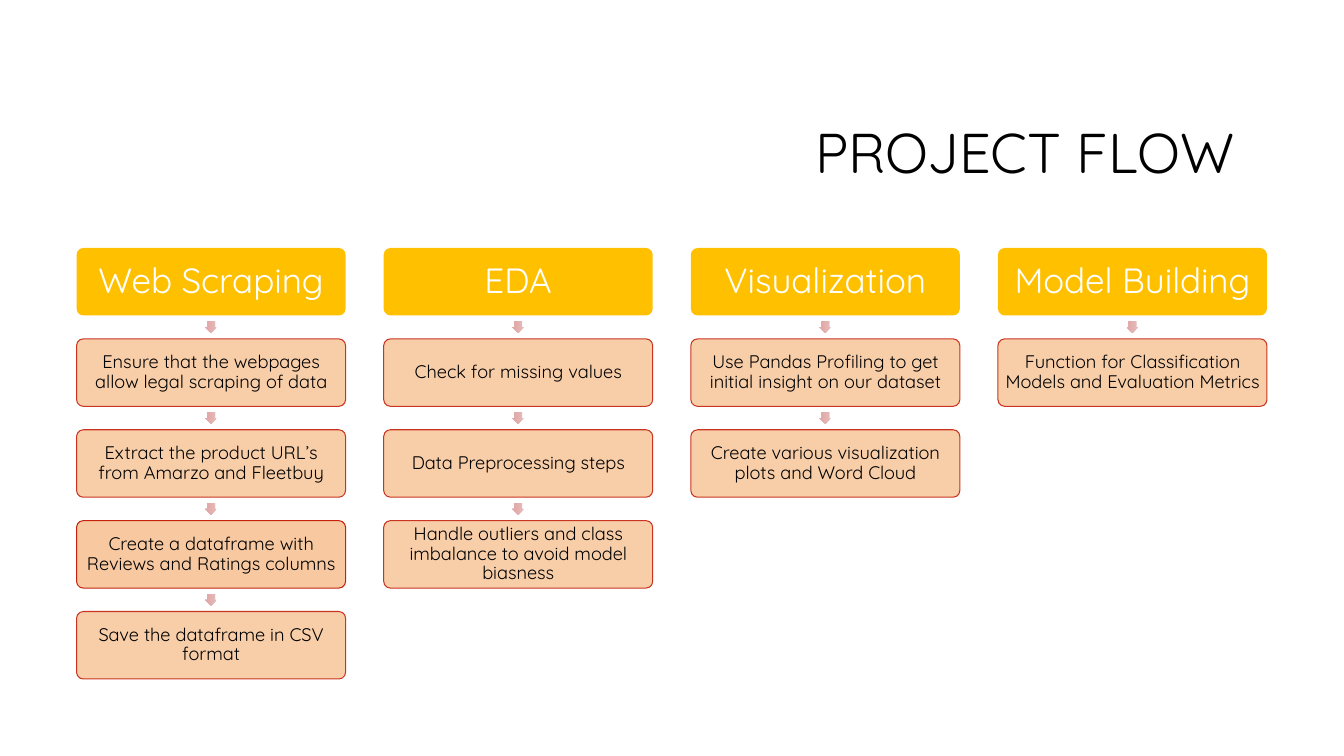
"""Build the project flow slide: four columns of linked steps."""
from dataclasses import dataclass

from lxml import etree
from pptx import Presentation
from pptx.dml.color import RGBColor
from pptx.enum.shapes import MSO_SHAPE
from pptx.enum.text import MSO_ANCHOR, PP_ALIGN
from pptx.oxml.ns import qn
from pptx.text.text import TextFrame
from pptx.util import Cm, Pt

BOX = MSO_SHAPE.ROUNDED_RECTANGLE
ARROW = MSO_SHAPE.RIGHT_ARROW
MIDDLE = MSO_ANCHOR.MIDDLE
CENTER, RIGHT = PP_ALIGN.CENTER, PP_ALIGN.RIGHT

FONT = "Quicksand"
BLACK = RGBColor(0x00, 0x00, 0x00)
WHITE = RGBColor(0xFF, 0xFF, 0xFF)
GOLD = RGBColor(0xFF, 0xC0, 0x00)
PEACH = RGBColor(0xF8, 0xC9, 0xA0)
RED = RGBColor(0xC4, 0x22, 0x0D)
PINK = RGBColor(0xE4, 0xBC, 0xBB)
ROSE = RGBColor(0xE1, 0xAA, 0xA9)

LEFT, TOP = 1.93, 6.25
WIDE, HIGH = 6.78, 1.7
COL_STEP, ROW_STEP = 7.74, 2.29
TIP = 0.3


@dataclass(frozen=True)
class Step:
    """A box in a column and its opacity in percent."""
    text: str
    alpha: int = 90


@dataclass(frozen=True)
class Stage:
    """A column with its heading and steps."""
    name: str
    steps: tuple[Step, ...]


STAGES = (
    Stage("Web Scraping", (
        Step("Ensure that the webpages allow legal scraping of data"),
        Step("Extract the product URL’s from Amarzo and Fleetbuy"),
        Step("Create a dataframe with Reviews and Ratings columns", 100),
        Step("Save the dataframe in CSV format"),
    )),
    Stage("EDA", (
        Step("Check for missing values"),
        Step("Data Preprocessing steps"),
        Step("Handle outliers and class imbalance to avoid model biasness"),
    )),
    Stage("Visualization", (
        Step("Use Pandas Profiling to get initial insight on our dataset"),
        Step("Create various visualization plots and Word Cloud"),
    )),
    Stage("Model Building", (
        Step("Function for Classification Models and Evaluation Metrics"),
    )),
)


def write(frame: TextFrame, text: str, size: float, color: RGBColor,
          align: PP_ALIGN) -> None:
    """Put one styled paragraph in a frame."""
    frame.word_wrap = True
    frame.vertical_anchor = MIDDLE
    para = frame.paragraphs[0]
    para.text = text
    para.alignment = align
    para.line_spacing = 0.9
    para.font.name = FONT
    para.font.size = Pt(size)
    para.font.color.rgb = color


def add_box(shapes, x: float, y: float, text: str, size: float,
            color: RGBColor, fill: RGBColor, inset: float):
    """Add a rounded box with text and no outline."""
    box = shapes.add_shape(BOX, Cm(x), Cm(y), Cm(WIDE), Cm(HIGH))
    box.shadow.inherit = False
    box.adjustments[0] = 0.1
    box.fill.solid()
    box.fill.fore_color.rgb = fill
    box.line.fill.background()
    frame = box.text_frame
    frame.margin_left = frame.margin_right = Cm(inset)
    frame.margin_top = frame.margin_bottom = Cm(inset)
    write(frame, text, size, color, CENTER)
    return box


def add_step(shapes, x: float, y: float, step: Step) -> None:
    """Add an outlined step box with its opacity."""
    box = add_box(shapes, x, y, step.text, 13, BLACK, PEACH, 0.1)
    box.line.color.rgb = RED
    box.line.width = Pt(0.75)
    if step.alpha < 100:
        for color in box.element.spPr.iter(qn("a:srgbClr")):
            etree.SubElement(color, qn("a:alpha"), val=str(step.alpha * 1000))


def add_arrow(shapes, x: float, y: float) -> None:
    """Add a small down arrow centred on a point."""
    arrow = shapes.add_shape(ARROW, Cm(x - TIP / 2), Cm(y - TIP / 2),
                             Cm(TIP), Cm(TIP))
    arrow.rotation = 90
    arrow.shadow.inherit = False
    arrow.adjustments[0] = 0.67
    arrow.line.fill.background()
    arrow.fill.gradient()
    arrow.fill.gradient_angle = 270
    stops = arrow.fill.gradient_stops
    for stop, color, place in zip(stops, (PINK, ROSE), (0, 0.78)):
        stop.color.rgb = color
        stop.position = place


def add_stage(shapes, x: float, stage: Stage) -> None:
    """Add a heading and the steps below it."""
    add_box(shapes, x, TOP, stage.name, 25, WHITE, GOLD, 0.13)
    for row, step in enumerate(stage.steps, 1):
        y = TOP + row * ROW_STEP
        add_arrow(shapes, x + WIDE / 2, y - (ROW_STEP - HIGH) / 2)
        add_step(shapes, x, y, step)


def main() -> None:
    """Build and save the slide."""
    deck = Presentation()
    deck.slide_width, deck.slide_height = Cm(33.87), Cm(19.05)
    shapes = deck.slides.add_slide(deck.slide_layouts[6]).shapes
    title = shapes.add_textbox(Cm(8.05), Cm(2.13), Cm(23.3), Cm(3.58))
    write(title.text_frame, "PROJECT FLOW", 40, BLACK, RIGHT)
    for col, stage in enumerate(STAGES):
        add_stage(shapes, LEFT + col * COL_STEP, stage)
    deck.save("out.pptx")


if __name__ == "__main__":
    main()
